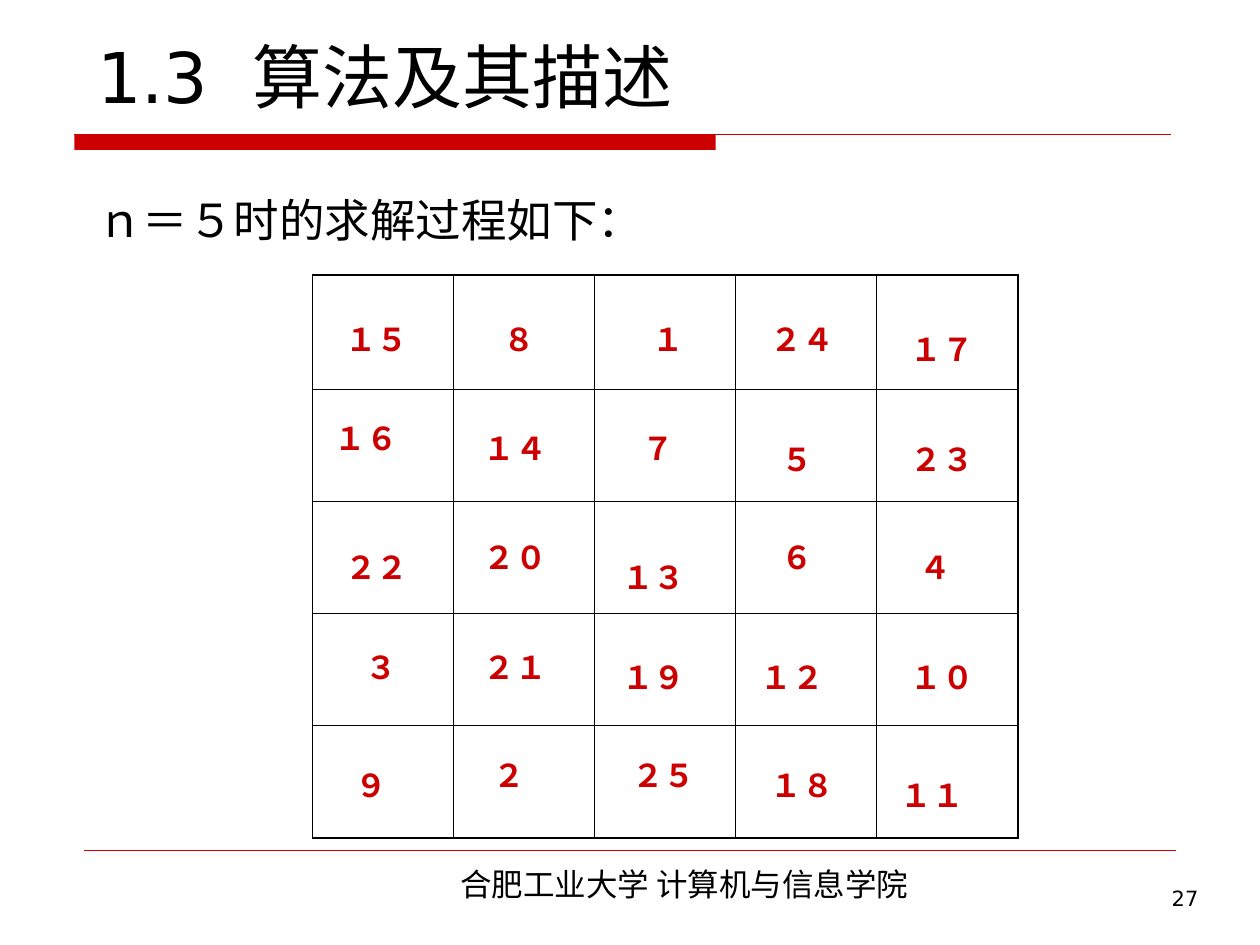
from lxml import etree
from pptx import Presentation
from pptx.dml.color import RGBColor
from pptx.enum.shapes import MSO_CONNECTOR, MSO_SHAPE
from pptx.enum.text import MSO_ANCHOR, MSO_AUTO_SIZE, PP_ALIGN
from pptx.oxml.ns import qn
from pptx.util import Emu, Pt

LEFT, CENTER, RIGHT = PP_ALIGN.LEFT, PP_ALIGN.CENTER, PP_ALIGN.RIGHT
TOP, BOTTOM = MSO_ANCHOR.TOP, MSO_ANCHOR.BOTTOM
NO_AUTOSIZE = MSO_AUTO_SIZE.NONE
STRAIGHT = MSO_CONNECTOR.STRAIGHT
RECTANGLE = MSO_SHAPE.RECTANGLE

EMU_PER_PX = 9144
RED = "CC0000"
BLACK = "000000"
CJK_FONT = "Noto Sans CJK SC"
GRID_SIZE = 5
COLUMN_WIDTH = 112
ROW_HEIGHTS = [91, 89, 89, 89, 89]
THICK, THIN = 1.08, 0.45

SQUARE = [
    [("１５", 264, 249), ("８", 390, 249), ("１", 508, 249), ("２４", 602, 249), ("１７", 713, 257)],
    [("１６", 256, 328), ("１４", 374, 336), ("７", 500, 336), ("５", 610, 344), ("２３", 713, 344)],
    [("２２", 264, 430), ("２０", 374, 422), ("１３", 484, 438), ("６", 610, 422), ("４", 720, 430)],
    [("３", 280, 509), ("２１", 374, 509), ("１９", 484, 517), ("１２", 594, 517), ("１０", 713, 517)],
    [("９", 272, 603), ("２", 382, 595), ("２５", 492, 595), ("１８", 602, 603), ("１１", 705, 611)],
]


def px(length):
    return Emu(length * EMU_PER_PX)


def color(value):
    return RGBColor.from_string(value)


def place(shape, left, top, width, height):
    shape.left, shape.top = px(left), px(top)
    shape.width, shape.height = px(width), px(height)


def write(shape, text, size, font, fill=BLACK, bold=False, align=LEFT, anchor=TOP):
    frame = shape.text_frame
    frame.text = text
    frame.word_wrap = True
    frame.auto_size = NO_AUTOSIZE
    frame.vertical_anchor = anchor
    para = frame.paragraphs[0]
    para.alignment = align
    para.space_before = Pt(0)
    for span in para.runs:
        span.font.size = Pt(size)
        span.font.name = font
        span.font.bold = bold
        span.font.color.rgb = color(fill)
        east_asian = etree.SubElement(span.font._element, qn("a:ea"))
        east_asian.set("typeface", CJK_FONT)
    return para


def add_label(page, bounds, text, size, font, **style):
    box = page.shapes.add_textbox(*map(px, bounds))
    write(box, text, size, font, **style)


def add_rule(page, left, right, height, weight):
    rule = page.shapes.add_connector(STRAIGHT, px(left), px(height), px(right), px(height))
    rule.line.color.rgb = color(RED)
    rule.line.width = Pt(weight)
    etree.SubElement(rule._element.spPr, qn("a:effectLst"))


def add_bar(page, *bounds):
    bar = page.shapes.add_shape(RECTANGLE, *map(px, bounds))
    bar.shadow.inherit = False
    bar.fill.solid()
    bar.fill.fore_color.rgb = color(RED)
    bar.line.fill.background()


def set_border(cell, side, weight):
    properties = cell._tc.get_or_add_tcPr()
    border = etree.SubElement(properties, qn(f"a:{side}"), w=str(Pt(weight)))
    fill = etree.SubElement(border, qn("a:solidFill"))
    etree.SubElement(fill, qn("a:srgbClr"), val=BLACK)


def add_grid(page, left, top):
    frame = page.shapes.add_table(
        GRID_SIZE, GRID_SIZE, px(left), px(top),
        px(GRID_SIZE * COLUMN_WIDTH), px(sum(ROW_HEIGHTS)))
    table = frame.table
    table.first_row = table.horz_banding = False
    for column in table.columns:
        column.width = px(COLUMN_WIDTH)
    last = GRID_SIZE - 1
    for row, height in enumerate(ROW_HEIGHTS):
        table.rows[row].height = px(height)
        for column in range(GRID_SIZE):
            cell = table.cell(row, column)
            outer_sides = {"lnL": column == 0, "lnR": column == last,
                           "lnT": row == 0, "lnB": row == last}
            for side, outer in outer_sides.items():
                set_border(cell, side, THICK if outer else THIN)
            cell.fill.background()


def add_numbers(page):
    for row in SQUARE:
        for number, left, top in row:
            width = 31 + 24 * len(number)
            add_label(page, (left, top, width, 40), number, 18, "Arial", fill=RED, bold=True)


def fill_placeholders(page):
    title, body = page.placeholders
    place(title, 67, -35, 875, 133)
    write(title, "1.3  算法及其描述", 40, "DejaVu Sans", anchor=BOTTOM)
    place(body, 67, 147, 874, 467)
    para = write(body, "ｎ＝５时的求解过程如下：", 26, "Times New Roman")
    properties = para._p.get_or_add_pPr()
    properties.set("marL", str(px(51)))
    properties.set("indent", str(px(-51)))
    etree.SubElement(properties, qn("a:buNone"))


def main():
    deck = Presentation()
    deck.slide_width, deck.slide_height = px(1000), px(750)
    page = deck.slides.add_slide(deck.slide_layouts[1])
    add_bar(page, 59, 107, 509, 12)
    add_rule(page, 59, 929, 107, 0.75)
    add_rule(page, 67, 933, 675, 0.25)
    add_label(page, (240, 682, 606, 40), "合肥工业大学 计算机与信息学院", 18, CJK_FONT, align=CENTER)
    add_label(page, (744, 698, 217, 52), "27", 12, "DejaVu Sans", align=RIGHT)
    fill_placeholders(page)
    add_grid(page, 248, 218)
    add_numbers(page)
    deck.save("out.pptx")


if __name__ == "__main__":
    main()
